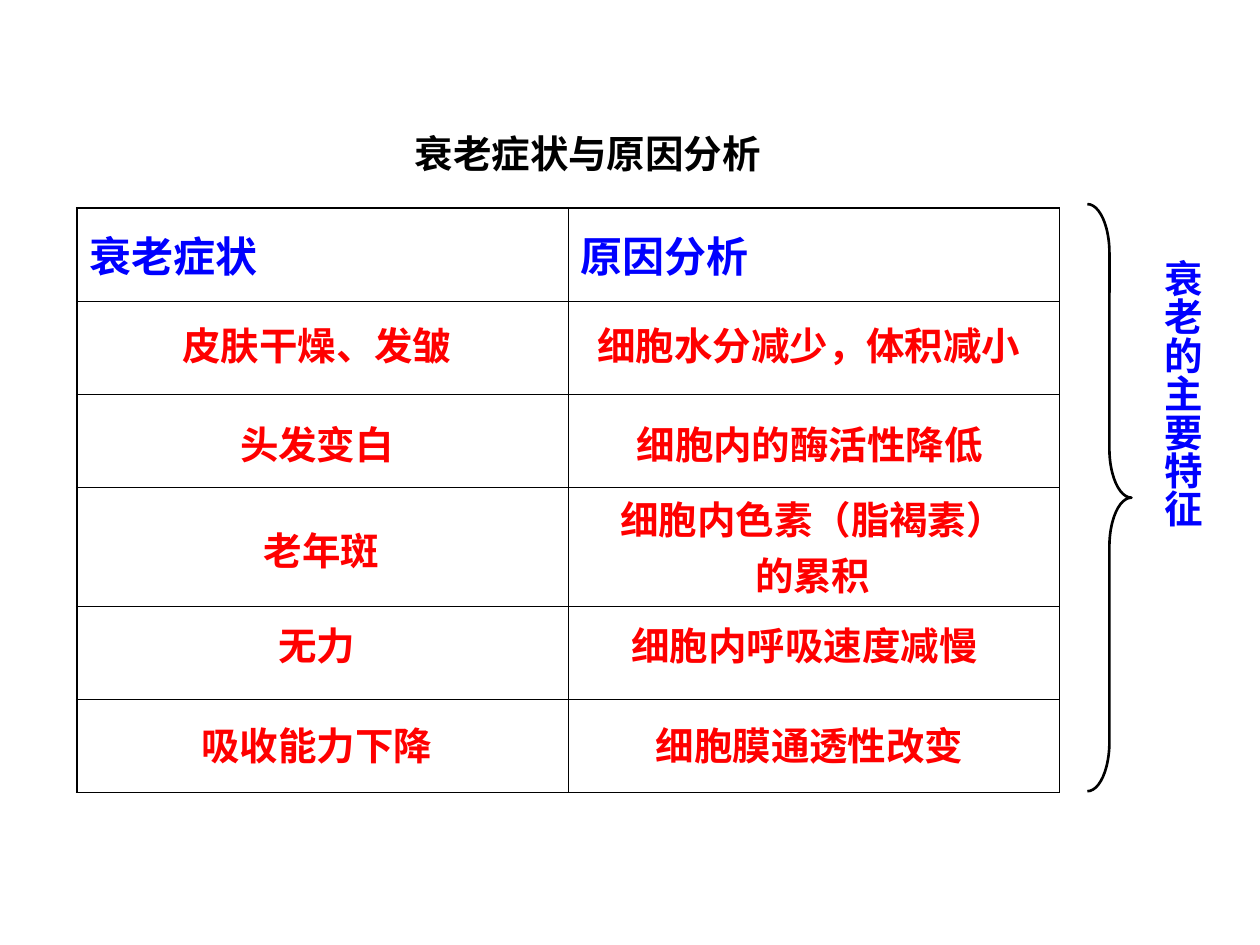
from lxml import etree
from pptx import Presentation
from pptx.dml.color import RGBColor
from pptx.enum.shapes import MSO_SHAPE
from pptx.enum.text import MSO_ANCHOR, PP_ALIGN
from pptx.oxml.ns import qn
from pptx.util import Inches, Pt

CENTER = PP_ALIGN.CENTER
LEFT = PP_ALIGN.LEFT
MIDDLE = MSO_ANCHOR.MIDDLE
RIGHT_BRACE = MSO_SHAPE.RIGHT_BRACE

FONT = "Noto Sans CJK SC"
BLACK, BLUE, RED = "000000", "0000FF", "FF0000"
OUTER_LINE, INNER_LINE = 1.08, 0.45

HEADINGS = ["衰老症状", "原因分析"]
ROW_HEIGHTS = [0.74, 0.74, 0.74, 0.94, 0.74, 0.74]

# Text, then left, top, width and height of its box in inches
ENTRIES = [
    ("皮肤干燥、发皱", (0.97, 2.51, 3.09, 0.47)),
    ("细胞水分减少，体积减小", (4.12, 2.51, 4.6, 0.47)),
    ("头发变白", (1.54, 3.29, 1.95, 0.47)),
    ("细胞内的酶活性降低", (4.5, 3.29, 3.85, 0.47)),
    ("老年斑", (1.86, 4.13, 1.38, 0.47)),
    ("细胞内色素（脂褐素）\n的累积", (4.43, 3.89, 4.04, 0.91)),
    ("无力", (2.01, 4.89, 1.01, 0.47)),
    ("细胞内呼吸速度减慢", (4.46, 4.89, 3.85, 0.47)),
    ("吸收能力下降", (1.16, 5.68, 2.71, 0.47)),
    ("细胞膜通透性改变", (3.93, 5.68, 4.99, 0.47)),
]


def color(value):
    return RGBColor.from_string(value)


def write_text(text_frame, text, size, text_color, alignment):
    text_frame.text = text
    for index, paragraph in enumerate(text_frame.paragraphs):
        paragraph.alignment = alignment
        if index:
            paragraph.space_before = Pt(5.5)
        for run in paragraph.runs:
            run.font.name = FONT
            run.font.size = Pt(size)
            run.font.bold = True
            run.font.color.rgb = color(text_color)
            east_asian = etree.SubElement(run.font._element, qn("a:ea"))
            east_asian.set("typeface", FONT)


def add_label(slide, text, box, text_color):
    label = slide.shapes.add_textbox(*map(Inches, box))
    label.text_frame.word_wrap = True
    write_text(label.text_frame, text, 22, text_color, CENTER)
    return label


def set_border(cell, side, width):
    properties = cell._tc.get_or_add_tcPr()
    line = etree.SubElement(properties, qn(f"a:{side}"), w=str(Pt(width)))
    fill = etree.SubElement(line, qn("a:solidFill"))
    etree.SubElement(fill, qn("a:srgbClr"), val=BLACK)


def add_symptom_table(slide, box):
    row_count, column_count = len(ROW_HEIGHTS), len(HEADINGS)
    frame = slide.shapes.add_table(row_count, column_count, *map(Inches, box))
    table = frame.table
    for column in table.columns:
        column.width = Inches(box[2] / column_count)
    for row_index, height in enumerate(ROW_HEIGHTS):
        table.rows[row_index].height = Inches(height)
        for column_index, heading in enumerate(HEADINGS):
            cell = table.cell(row_index, column_index)
            cell.vertical_anchor = MIDDLE
            if row_index == 0:
                write_text(cell.text_frame, heading, 24, BLUE, LEFT)
            # Heavier lines on the outer edge; borders come before the fill
            outer_sides = {
                "lnL": column_index == 0,
                "lnR": column_index == column_count - 1,
                "lnT": row_index == 0,
                "lnB": row_index == row_count - 1,
            }
            for side, is_outer in outer_sides.items():
                set_border(cell, side, OUTER_LINE if is_outer else INNER_LINE)
            cell.fill.background()


def add_brace(slide, box):
    brace = slide.shapes.add_shape(RIGHT_BRACE, *map(Inches, box))
    brace.adjustments[0] = 1.11
    brace.shadow.inherit = False
    brace.fill.background()
    brace.line.color.rgb = color(BLACK)
    brace.line.width = Pt(1.5)


def add_vertical_label(slide, text, box):
    label = add_label(slide, text, box, BLUE)
    text_frame = label.text_frame
    text_frame.margin_left = text_frame.margin_right = Inches(0.05)
    text_frame.margin_top = text_frame.margin_bottom = Inches(0.1)
    text_frame._txBody.bodyPr.set("vert", "eaVert")


def main():
    presentation = Presentation()
    presentation.slide_width = Inches(10)
    presentation.slide_height = Inches(7.5)
    slide = presentation.slides.add_slide(presentation.slide_layouts[6])

    # Title and table
    add_label(slide, "衰老症状与原因分析", (1.4, 0.98, 6.53, 0.47), BLACK)
    add_symptom_table(slide, (0.61, 1.65, 7.8, 4.65))

    # Symptoms and causes laid over the table
    for text, box in ENTRIES:
        add_label(slide, text, box, RED)

    # Summary at the right
    add_brace(slide, (8.63, 1.62, 0.35, 4.66))
    add_vertical_label(slide, "衰老的主要特征", (9.06, 1.96, 0.56, 4.15))

    presentation.save("out.pptx")


if __name__ == "__main__":
    main()
